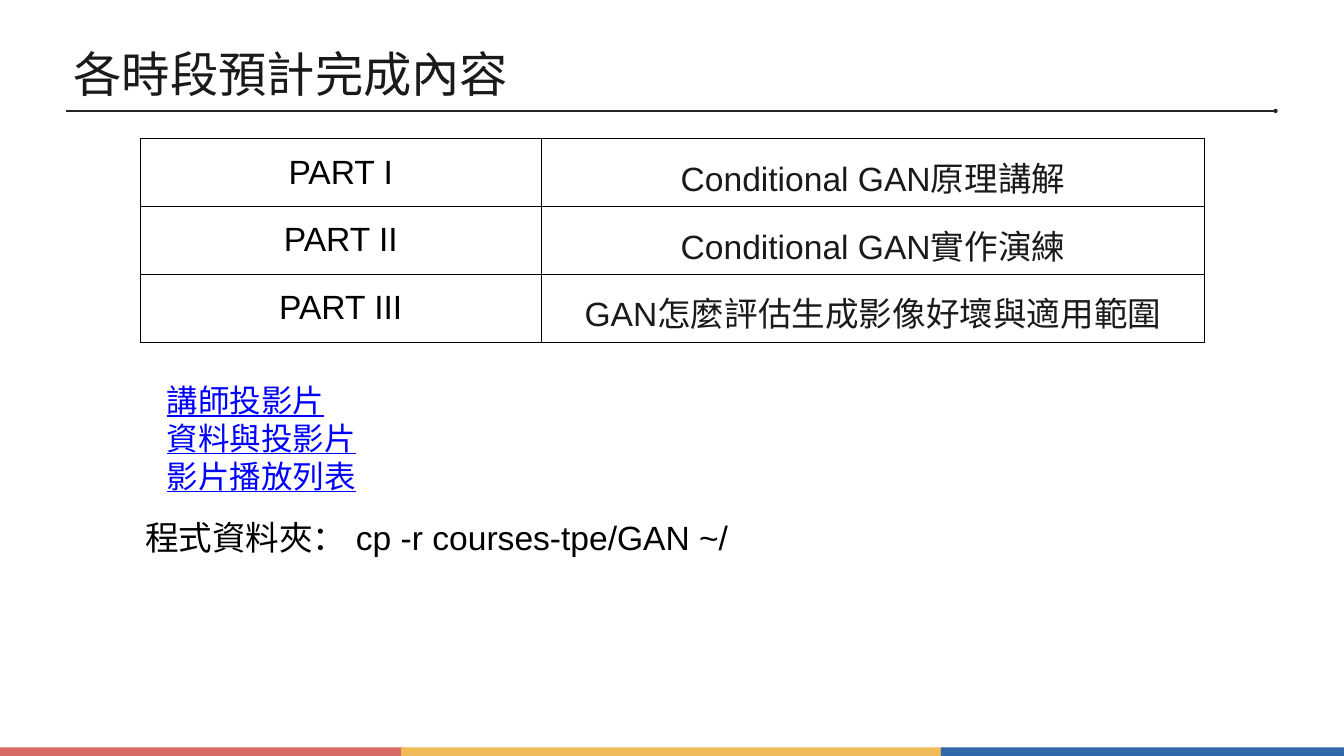
from lxml import etree
from pptx import Presentation
from pptx.dml.color import RGBColor
from pptx.enum.shapes import MSO_CONNECTOR, MSO_SHAPE
from pptx.enum.text import MSO_ANCHOR, PP_ALIGN
from pptx.oxml.ns import qn
from pptx.util import Cm, Pt

RECTANGLE, STRAIGHT = MSO_SHAPE.RECTANGLE, MSO_CONNECTOR.STRAIGHT
TOP, MIDDLE = MSO_ANCHOR.TOP, MSO_ANCHOR.MIDDLE
LEFT, CENTER = PP_ALIGN.LEFT, PP_ALIGN.CENTER

COLORS = {"ink": "1A1A1A", "black": "000000", "link": "0000FF", "rule": "262627",
          "red": "D66962", "yellow": "EFBA57", "blue": "3068AA"}

TITLE = "各時段預計完成內容"
SCHEDULE = [
    ("PART I", "Conditional GAN原理講解"),
    ("PART II", "Conditional GAN實作演練"),
    ("PART III", "GAN怎麼評估生成影像好壞與適用範圍"),
]
LINKS = ["講師投影片", "資料與投影片", "影片播放列表"]
FOLDER = "程式資料夾： cp -r courses-tpe/GAN ~/"

FOOTER_BARS = [("red", -0.13, 20.45), ("yellow", 20.22, 27.31), ("blue", 47.42, 20.45)]
FOOTER_TOP, FOOTER_HEIGHT = 37.67, 0.43
CONTENT_LEFT = 7.06
COLUMN_WIDTHS, ROW_HEIGHT = (20.24, 33.4), 3.38
COLUMN_STYLES = [("black", MIDDLE), ("ink", TOP)]
CELL_MARGIN = 0.69


def color(name):
    return RGBColor.from_string(COLORS[name])


def set_margins(target, margin):
    for side in ("left", "top", "right", "bottom"):
        setattr(target, f"margin_{side}", Cm(margin))


def write(frame, lines, font, align=LEFT, east_asian=True, indent=None):
    for index, line in enumerate(lines):
        para = frame.paragraphs[0] if index == 0 else frame.add_paragraph()
        para.alignment = align
        if indent:
            for key, length in zip(("marL", "indent"), indent):
                para._p.get_or_add_pPr().set(key, str(Cm(length)))
        span = para.add_run()
        span.text = line
        for key, value in font.items():
            if key == "color":
                span.font.color.rgb = color(value)
            else:
                setattr(span.font, key, value)
        if east_asian:
            latin = span._r.rPr.find(qn("a:latin"))
            fallback = etree.Element(qn("a:ea"), typeface=font["name"])
            latin.addnext(fallback)


def add_text(page, area, lines, font, margin, anchor, indent=None):
    box = page.shapes.add_textbox(*map(Cm, area))
    frame = box.text_frame
    frame.word_wrap = True
    frame.vertical_anchor = anchor
    set_margins(frame, margin)
    write(frame, lines, font, indent=indent)


def add_borders(cell):
    properties = cell._tc.get_or_add_tcPr()
    for index, side in enumerate(("lnL", "lnR", "lnT", "lnB")):
        border = etree.Element(qn(f"a:{side}"), w=str(Pt(0.75)))
        fill = etree.SubElement(border, qn("a:solidFill"))
        etree.SubElement(fill, qn("a:srgbClr"), val=COLORS["black"])
        properties.insert(index, border)


def add_footer(page):
    for name, left, width in FOOTER_BARS:
        bar = page.shapes.add_shape(RECTANGLE, Cm(left), Cm(FOOTER_TOP),
                                    Cm(width), Cm(FOOTER_HEIGHT))
        bar.shadow.inherit = False
        bar.fill.solid()
        bar.fill.fore_color.rgb = color(name)
        bar.line.fill.background()


def add_title_rule(page):
    rule = page.shapes.add_connector(STRAIGHT, Cm(3.33), Cm(5.59), Cm(64.29), Cm(5.59))
    rule.line.color.rgb = color("rule")
    rule.line.width = Pt(2)
    etree.SubElement(rule.line._get_or_add_ln(), qn("a:tailEnd"), type="oval")
    etree.SubElement(rule._element.spPr, qn("a:effectLst"))


def add_schedule(page):
    table = page.shapes.add_table(
        len(SCHEDULE), len(COLUMN_WIDTHS), Cm(CONTENT_LEFT), Cm(6.99),
        Cm(sum(COLUMN_WIDTHS)), Cm(ROW_HEIGHT * len(SCHEDULE))).table
    table.first_row = table.horz_banding = False
    for column, width in zip(table.columns, COLUMN_WIDTHS):
        column.width = Cm(width)
    for row, texts in zip(table.rows, SCHEDULE):
        row.height = Cm(ROW_HEIGHT)
        for cell, text, (ink, anchor) in zip(row.cells, texts, COLUMN_STYLES):
            cell.fill.background()
            cell.vertical_anchor = anchor
            set_margins(cell, CELL_MARGIN)
            add_borders(cell)
            write(cell.text_frame, [text],
                  {"name": "Arial", "size": Pt(48), "color": ink}, CENTER, False)


def main():
    deck = Presentation()
    deck.slide_width, deck.slide_height = Cm(67.74), Cm(38.1)
    page = deck.slides.add_slide(deck.slide_layouts[6])
    add_footer(page)
    add_title_rule(page)
    add_text(page, (3.51, 1.6, 43.36, 4.19), [TITLE],
             {"name": "Arial", "size": Pt(69), "color": "ink"}, 0.2, MIDDLE)
    add_text(page, (CONTENT_LEFT, 18.36, 40.69, 7.42), LINKS,
             {"name": "Roboto", "size": Pt(45), "color": "link", "underline": True},
             0.2, MIDDLE, (1.7, -0.56))
    add_schedule(page)
    add_text(page, (CONTENT_LEFT, 25.78, 32.33, 2.95), [FOLDER],
             {"name": "Arial", "size": Pt(48), "color": "black"}, 0.25, TOP)
    deck.save("out.pptx")


if __name__ == "__main__":
    main()
